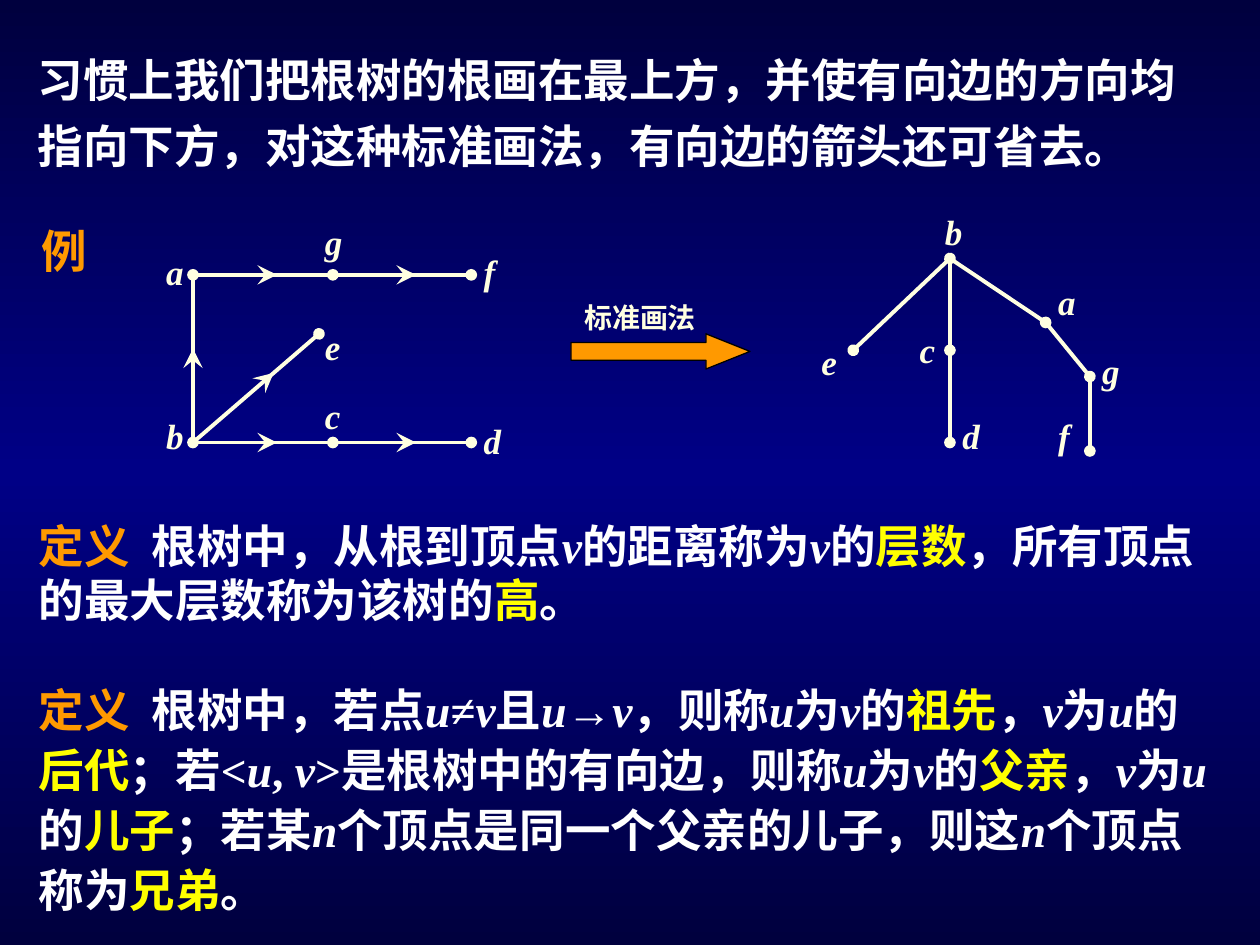
"""Build the slide on the standard drawing of a rooted tree and its terms."""
from copy import deepcopy

from pptx import Presentation
from pptx import util as u
from pptx.dml.color import RGBColor
from pptx.enum import shapes, text
from pptx.oxml.ns import qn
from pptx.oxml.xmlchemy import OxmlElement

CREAM, ORANGE, YELLOW, WHITE, BLACK = "FFFFE1", "FF9900", "FFFF00", "FFFFFF", "000000"
SERIF = "Times New Roman"
BACKGROUND = [(0, "00003E"), (0.5, "000086"), (1, "00003E")]
BODY = {"name": SERIF, "size": u.Pt(26), "bold": True}
LABEL = {**BODY, "size": u.Pt(20), "italic": True}
CAPTION = {**BODY, "size": u.Pt(16)}
MARKS = {"#": (ORANGE, False), "_": (WHITE, True), "!": (YELLOW, False)}
TERM_TAB = 2.28

PASSAGES = [
    ((0.51, 0.71, 24, 2.9), 1.2, BODY,
     "习惯上我们把根树的根画在最上方，并使有向边的方向均指向下方，"
     "对这种标准画法，有向边的箭头还可省去。"),
    ((0.58, 4.37, 1.93, 1.37), None, {**BODY, "name": "Arial"}, "#例"),
    ((0.53, 10.31, 24.41, 2.46), None, BODY,
     "#定义\t|根树中，从根到顶点|_v|的距离称为|_v|的|!层数|，所有顶点的最大层数称为该树的|!高|。"),
    ((0.53, 13.51, 24.31, 5.11), 1.1, BODY,
     "#定义\t|根树中，若点|_u|≠|_v|且|_u|→|_v|，则称|_u|为|_v|的|!祖先|，|_v|为|_u|的|!后代"
     "|；若<|_u|, |_v|>是根树中的有向边，则称|_u|为|_v|的|!父亲|，|_v|为|_u|的|!儿子"
     "|；若某|_n|个顶点是同一个父亲的儿子，则这|_n|个顶点称为|!兄弟|。"),
]

STANDARD_TREE = {
    "nodes": {"b": (19.15, 5.21), "e": (17.2, 7.06), "c": (19.15, 7.06), "d": (19.15, 8.92),
              "a": (21.08, 6.5), "g": (21.97, 7.59), "f": (21.97, 9.09)},
    "labels": {"b": (18.8, 4.11), "e": (16.31, 6.73), "c": (18.29, 6.5), "d": (19.15, 8.23),
               "a": (21.08, 5.54), "g": (21.97, 6.93), "f": (21.08, 8.23)},
    "edges": [("be", None), ("bc", None), ("cd", None), ("ba", None), ("ag", None), ("gf", None)],
    "label_width": 0.62,
}
DIRECTED_TREE = {
    "nodes": {"a": (3.89, 5.54), "g": (6.71, 5.54), "f": (9.5, 5.54), "e": (6.43, 6.73),
              "b": (3.89, 8.92), "c": (6.71, 8.92), "d": (9.5, 8.92)},
    "labels": {"b": (3.1, 8.23), "c": (6.3, 7.82), "d": (9.5, 8.33), "e": (6.3, 6.43),
               "a": (3.1, 4.93), "g": (6.3, 4.32), "f": (9.5, 4.93)},
    "edges": [("ba", 0.46), ("be", 0.54), ("bc", 0.5), ("cd", 0.5), ("ag", 0.5), ("gf", 0.5)],
    "label_width": 0.81,
}
ROOT = "b"
DOT = {"type": "oval"}
BARB = {"type": "stealth", "w": "lg", "len": "lg"}


def colour(code):
    """Turn a hex string into a colour."""
    return RGBColor.from_string(code)


def cm(values):
    """Turn numbers in centimetres into lengths."""
    return [u.Cm(value) for value in values]


def element(tag, **attributes):
    """Make a drawing element with the given attributes."""
    made = OxmlElement(f"a:{tag}")
    for key, value in attributes.items():
        made.set(key, value)
    return made


def write(parent, place, marked, style, base=WHITE, spacing=None):
    """Add a text box whose bar-separated parts carry their style marks."""
    frame = parent.shapes.add_textbox(*cm(place)).text_frame
    frame.word_wrap = True
    frame.auto_size = text.MSO_AUTO_SIZE.SHAPE_TO_FIT_TEXT
    paragraph = frame.paragraphs[0]
    properties = paragraph._p.get_or_add_pPr()
    properties.set("hangingPunct", "0")
    if "\t" in marked:
        stops = element("tabLst")
        stops.append(element("tab", pos=str(u.Cm(TERM_TAB)), algn="l"))
        properties.append(stops)
    if spacing:
        paragraph.line_spacing = spacing
    for part in marked.split("|"):
        tint, italic = MARKS.get(part[0], (base, False))
        run = paragraph.add_run()
        run.text = part[1:] if part[0] in MARKS else part
        for key, value in {"italic": italic, **style}.items():
            setattr(run.font, key, value)
        run.font.color.rgb = colour(tint)
    return frame


def draw_line(group, start, end, **ends):
    """Add a straight line with the given end marks."""
    line = group.shapes.add_connector(shapes.MSO_CONNECTOR.STRAIGHT, *cm((*start, *end)))
    line.line.color.rgb = colour(CREAM)
    line.line.width = u.Pt(2.25)
    for tag in ("headEnd", "tailEnd"):
        if tag in ends:
            line.line._get_or_add_ln().append(element(tag, **ends[tag]))
    line._element.spPr.append(element("effectLst"))


def draw_tree(slide, tree):
    """Draw the edges, direction marks and labels of one tree."""
    group = slide.shapes.add_group_shape()
    for index, ((source, target), middle) in enumerate(tree["edges"]):
        start, end = tree["nodes"][source], tree["nodes"][target]
        root_dot = {"headEnd": DOT} if index == 0 and source == ROOT else {}
        draw_line(group, start, end, tailEnd=DOT, **root_dot)
        if middle:
            stem, tip = ([a + (b - a) * share for a, b in zip(start, end)]
                         for share in (middle, middle + 0.1))
            draw_line(group, stem, tip, tailEnd=BARB)
    for name, corner in tree["labels"].items():
        write(group, (*corner, tree["label_width"], 1.12), name, LABEL, CREAM)


def draw_step(slide):
    """Draw the captioned arrow between the trees."""
    group = slide.shapes.add_group_shape()
    caption = write(group, (11.53, 5.92, 3.2, 0.94), "标准画法", CAPTION, CREAM)
    caption.vertical_anchor = text.MSO_ANCHOR.MIDDLE
    arrow = group.shapes.add_shape(shapes.MSO_SHAPE.RIGHT_ARROW, *cm((11.51, 6.73, 3.61, 0.71)))
    arrow.shadow.inherit = False
    arrow.adjustments[0], arrow.adjustments[1] = 0.5, 1.25
    arrow.fill.solid()
    arrow.fill.fore_color.rgb = colour(ORANGE)
    arrow.line.color.rgb = colour(BLACK)
    arrow.line.width = u.Pt(0.75)


def paint_background(slide):
    """Fill the background with the vertical gradient."""
    fill = slide.background.fill
    fill.gradient()
    fill.gradient_angle = 90
    stops = slide._element.find(".//" + qn("a:gsLst"))
    stops.append(deepcopy(stops[0]))
    for stop, (position, code) in zip(fill.gradient_stops, BACKGROUND):
        stop.position = position
        stop.color.rgb = colour(code)


def main():
    """Build and save the slide."""
    deck = Presentation()
    deck.slide_width, deck.slide_height = cm((25.4, 19.05))
    slide = deck.slides.add_slide(deck.slide_layouts[6])
    paint_background(slide)
    for place, spacing, style, marked in PASSAGES:
        write(slide, place, marked, style, spacing=spacing)
    draw_step(slide)
    for tree in (STANDARD_TREE, DIRECTED_TREE):
        draw_tree(slide, tree)
    deck.save("out.pptx")


if __name__ == "__main__":
    main()
